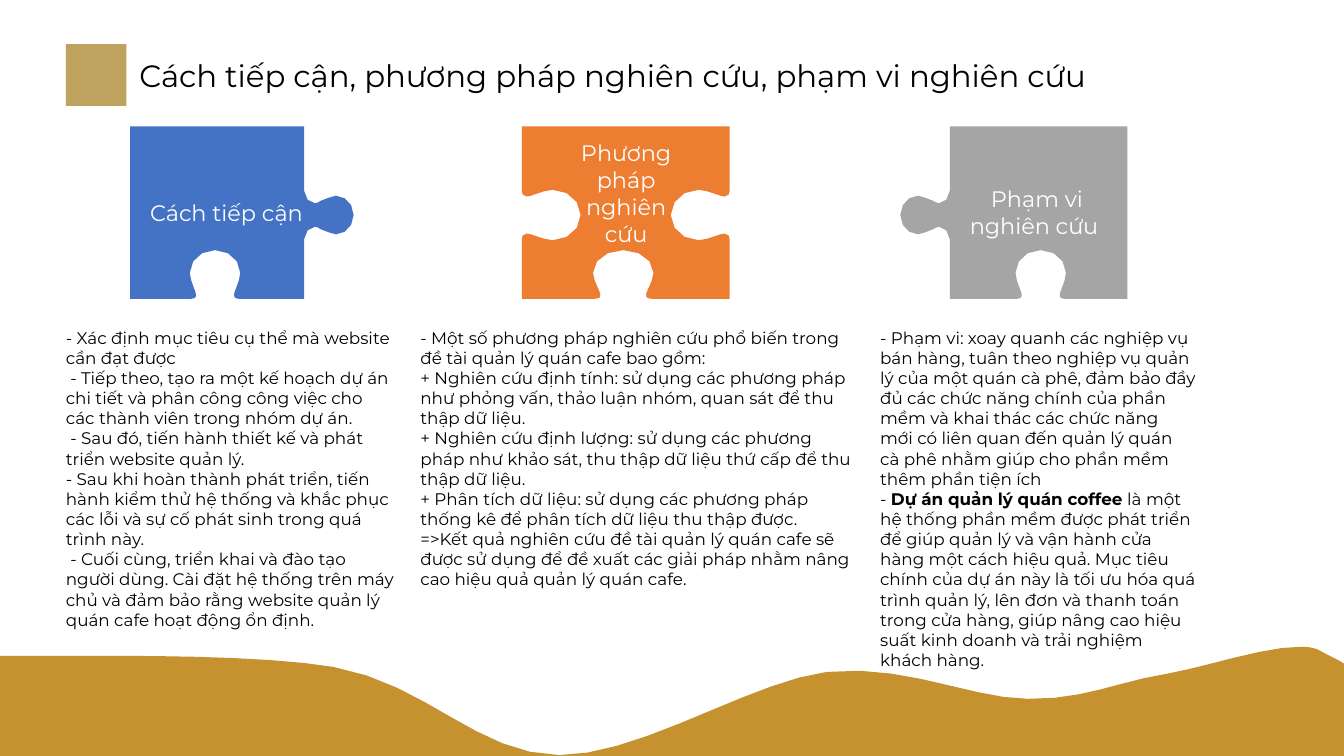
from math import ceil, dist, sqrt

from pptx import Presentation
from pptx.dml.color import RGBColor
from pptx.enum.shapes import MSO_SHAPE
from pptx.enum.text import MSO_AUTO_SIZE, PP_ALIGN
from pptx.util import Inches, Pt

TAB = [(2.9, 0), (2, 0.1), (1.4, 0.6), (1.4, 1.3), (1.4, 1.6), (1.6, 1.8), (1.7, 2),
       (1.9, 2.5), (2.3, 3.5), (2.3, 3.8), (2.3, 4.9), (1.3, 5.9), (0, 5.9)]
SIDE_SOCKET = [(2.9, 0), (2.6, 0), (2.2, -0.1), (2.2, -0.6), (2.2, -0.7), (2.2, -1),
               (2.3, -1.1), (2.3, -1.2), (3, -2.8), (3, -3.7), (3, -5.5), (1.7, -7), (0, -7)]
BASE_SOCKET = [(2.9, 0), (2.6, 0), (2.4, -0.1), (2.3, -0.2), (2.2, -0.5), (2.3, -0.7),
               (2.4, -1), (2.4, -1.1), (3, -2.3), (3, -3.1), (3, -4.6), (1.7, -5.8), (0, -5.8)]
CREST = [(3, 78.1), (12, 78.1), (30, 77.8), (39.7, 79.4), (50.9, 81.4), (56.8, 89.8),
         (66.6, 89.9), (76.3, 89.9), (89.2, 81.2), (98.4, 80), (107.8, 79), (115.7, 83.2),
         (122.4, 83.2), (129.2, 83.3), (133.1, 81.1), (139, 80.2), (143.6, 79.4),
         (150.7, 76.9), (155, 77), (156, 77), (156.8, 77.2), (157.4, 77.6),
         (157.9, 77.9), (158.6, 78.2), (159.5, 78.7)]

APPROACH = [
    "- Xác định mục tiêu cụ thể mà website cần đạt được ",
    " - Tiếp theo, tạo ra một kế hoạch dự án chi tiết và phân công công việc cho các thành viên trong nhóm dự án.",
    " - Sau đó, tiến hành thiết kế và phát triển website quản lý. ",
    "- Sau khi hoàn thành phát triển, tiến hành kiểm thử hệ thống và khắc phục các lỗi và sự cố phát sinh trong quá trình này. ",
    " - Cuối cùng, triển khai và đào tạo người dùng. Cài đặt hệ thống trên máy chủ và đảm bảo rằng website quản lý quán cafe hoạt động ổn định.",
]
METHODS = [
    "- Một số phương pháp nghiên cứu phổ biến trong đề tài quản lý quán cafe bao gồm: ",
    "+ Nghiên cứu định tính: sử dụng các phương pháp như phỏng vấn, thảo luận nhóm, quan sát để thu thập dữ liệu. ",
    "+ Nghiên cứu định lượng: sử dụng các phương pháp như khảo sát, thu thập dữ liệu thứ cấp để thu thập dữ liệu. ",
    "+ Phân tích dữ liệu: sử dụng các phương pháp thống kê để phân tích dữ liệu thu thập được. ",
    "=>Kết quả nghiên cứu đề tài quản lý quán cafe sẽ được sử dụng để đề xuất các giải pháp nhằm nâng cao hiệu quả quản lý quán cafe. ",
]
SCOPE = [
    "- Phạm vi: xoay quanh các nghiệp vụ bán hàng, tuân theo nghiệp vụ quản lý của một quán cà phê, đảm bảo đầy đủ các chức năng chính của phần mềm và khai thác các chức năng mới có liên quan đến quản lý quán cà phê nhằm giúp cho phần mềm thêm phần tiện ích ",
    "- **Dự án quản lý quán coffee** là một hệ thống phần mềm được phát triển để giúp quản lý và vận hành cửa hàng một cách hiệu quả. Mục tiêu chính của dự án này là tối ưu hóa quá trình quản lý, lên đơn và thanh toán trong cửa hàng, giúp nâng cao hiệu suất kinh doanh và trải nghiệm khách hàng.",
]


def color(value):
    """Turn a hex string into a colour."""
    return RGBColor.from_string(value)


def curve(points):
    """Sample a chain of cubic curves, with more points on longer ones."""
    result = [points[0]]
    for i in range(0, len(points) - 1, 3):
        steps = ceil(1.4 * sqrt(dist(points[i], points[i + 3])))
        for t in (n / steps for n in range(1, steps + 1)):
            weights = ((1 - t) ** 3, 3 * t * (1 - t) ** 2, 3 * t * t * (1 - t), t ** 3)
            result.append(tuple(sum(w * p[axis] for w, p in zip(weights, points[i:i + 4]))
                                for axis in (0, 1)))
    return result


def knob(half):
    """Mirror half a knob and sample it as offsets along and out of an edge."""
    return curve(half + [(-along, out) for along, out in reversed(half[:-1])]) if half else []


class Deck:
    """Holds the style and the current slide on a grid of 160 columns by 90 rows."""
    font = "Montserrat"

    def __init__(self):
        """Start a widescreen presentation with one blank slide."""
        self.prs = Presentation()
        self.prs.slide_width, self.prs.slide_height = Inches(13.33), Inches(7.5)
        self.s = self.prs.slides.add_slide(self.prs.slide_layouts[6])

    def at(self, *lengths):
        """Convert alternating columns and rows to slide units."""
        cells = (self.prs.slide_width / 160, self.prs.slide_height / 90)
        return [round(n * cells[i % 2]) for i, n in enumerate(lengths)]

    def paint(self, sp, fill):
        """Give a shape a plain fill without line or shadow."""
        sp.shadow.inherit = False
        sp.fill.solid()
        sp.fill.fore_color.rgb = color(fill)
        sp.line.fill.background()

    def square(self, box, fill):
        """Draw a filled rectangle."""
        self.paint(self.s.shapes.add_shape(MSO_SHAPE.RECTANGLE, *self.at(*box)), fill)

    def outline(self, points, fill):
        """Draw a filled closed outline."""
        points = [self.at(*p) for p in points]
        builder = self.s.shapes.build_freeform(*points[0], scale=1.0)
        builder.add_line_segments(points[1:], close=True)
        self.paint(builder.convert_to_shape(), fill)

    def piece(self, left, right, middle, fill, left_half, right_half, stretch=1):
        """Draw a puzzle piece with a knob on each given side and a socket below."""
        top, bottom, centre = 15.05, 35.58, 25.6
        self.outline(
            [(left, top), (right, top)]
            + [(right + out, centre - along) for along, out in knob(right_half)]
            + [(right, bottom)]
            + [(middle + along * stretch, bottom + out) for along, out in knob(BASE_SOCKET)]
            + [(left, bottom)]
            + [(left - out, centre + along) for along, out in knob(left_half)], fill)

    def text(self, box, lines, size, fill="000000", align=PP_ALIGN.LEFT, wrap=True, inset=True):
        """Write paragraphs in which double asterisks enclose bold words."""
        tf = self.s.shapes.add_textbox(*self.at(*box)).text_frame
        tf.word_wrap = wrap
        tf.auto_size = MSO_AUTO_SIZE.SHAPE_TO_FIT_TEXT
        if not inset:
            tf.margin_left = tf.margin_right = tf.margin_top = tf.margin_bottom = 0
        for i, line in enumerate(lines):
            p = tf.add_paragraph() if i else tf.paragraphs[0]
            p.alignment = align
            p.font.name, p.font.size = self.font, Pt(size)
            p.font.color.rgb = color(fill)
            for n, part in enumerate(line.split("**")):
                r = p.add_run()
                r.text = part
                if n % 2:
                    r.font.bold = True

    def label(self, box, line, wrap=True):
        """Write a white centred label on a puzzle piece."""
        self.text(box, [line], 16, "FFFFFF", PP_ALIGN.CENTER, wrap)


def main():
    """Build the slide and save it."""
    deck = Deck()
    deck.outline([(0, 90), (0, 78.1)] + curve(CREST) + [(160, 79), (160, 90)], "C6922F")
    columns = ((7.85, 39.1, 38.8, APPROACH), (50.05, 51.7, 31.6, METHODS),
               (104.78, 37.6, 41.2, SCOPE))
    for left, width, height, lines in columns:
        deck.text((left, 38.96, width, height), lines, 12, inset=False)

    deck.piece(15.5, 36.2, 25.6, "4472C4", None, TAB)
    deck.piece(113.08, 134.2, 123.9, "A5A5A5", TAB, None)
    deck.piece(62.12, 86.86, 74.2, "ED7D31", SIDE_SOCKET, SIDE_SOCKET, 1.2)
    deck.label((16.26, 23.08, 21.4, 4.4), "Cách tiếp cận", wrap=False)
    deck.label((66.84, 16, 15.4, 14.2), "Phương pháp nghiên cứu")
    deck.label((112.7, 21.5, 21.5, 7.7), "Phạm vi nghiên cứu ")

    deck.text((15.4, 6.18, 118.8, 5.6),
              ["Cách tiếp cận, phương pháp nghiên cứu, phạm vi nghiên cứu"], 22)
    deck.square((7.85, 5.25, 7.2, 7.35), "BFA25E")
    deck.prs.save("out.pptx")


if __name__ == "__main__":
    main()
